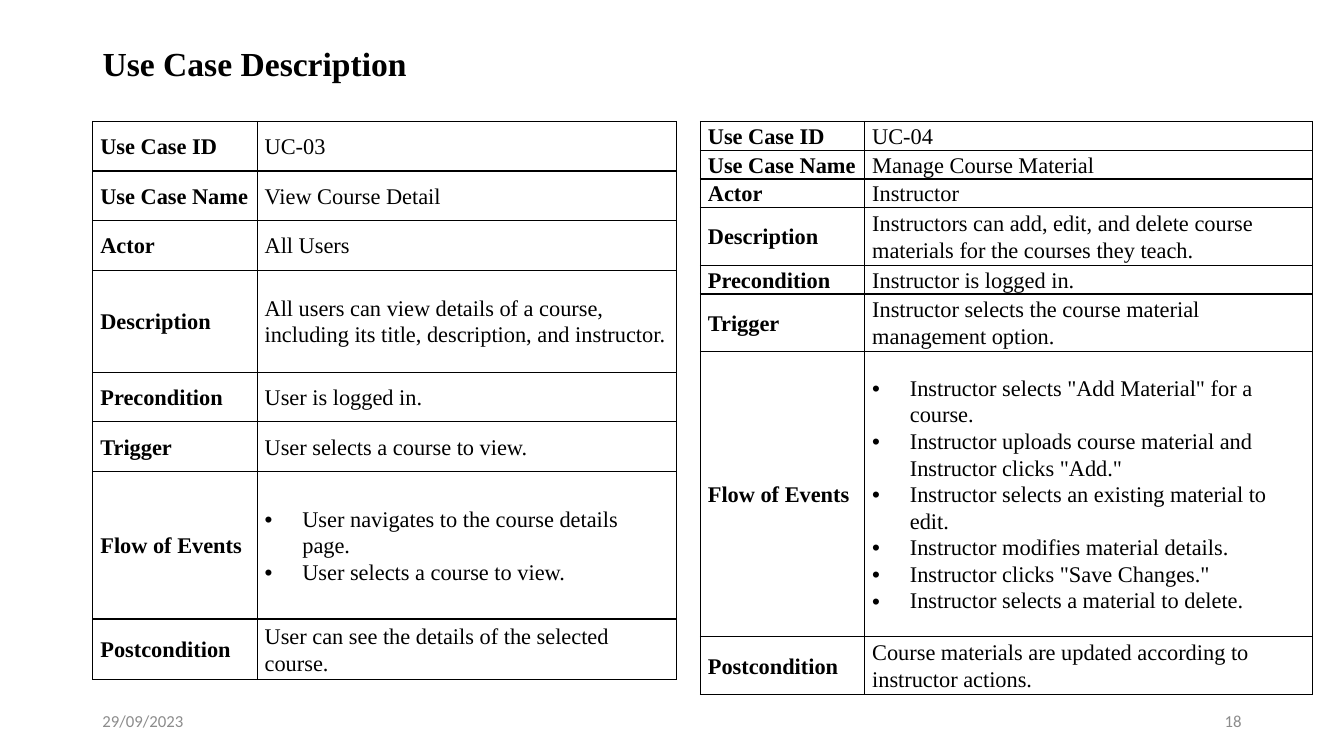
"""Builds a slide with two use case description tables side by side."""
from dataclasses import dataclass

import lxml.etree
import pptx
import pptx.dml.color
import pptx.enum.text
import pptx.oxml.ns
import pptx.util

Cm = pptx.util.Cm
Pt = pptx.util.Pt
Align = pptx.enum.text.PP_ALIGN
Anchor = pptx.enum.text.MSO_ANCHOR


@dataclass(frozen=True)
class Theme:
    heading_font: str = "Times New Roman"
    footer_font: str = "Calibri"
    ink: str = "000000"
    muted: str = "8C8C8C"
    title_size: int = 24
    table_size: int = 16
    footer_size: int = 12
    border_width: int = 1


FIELDS = ["Use Case ID", "Use Case Name", "Actor", "Description",
          "Precondition", "Trigger", "Flow of Events", "Postcondition"]
VIEW_COURSE = [
    "UC-03",
    "View Course Detail",
    "All Users",
    "All users can view details of a course, including its title, description, and instructor.",
    "User is logged in.",
    "User selects a course to view.",
    ["User navigates to the course details page.",
     "User selects a course to view."],
    "User can see the details of the selected course.",
]
MANAGE_MATERIAL = [
    "UC-04",
    "Manage Course Material",
    "Instructor",
    "Instructors can add, edit, and delete course materials for the courses they teach.",
    "Instructor is logged in.",
    "Instructor selects the course material management option.",
    ['Instructor selects "Add Material" for a course.',
     'Instructor uploads course material and Instructor clicks "Add."',
     "Instructor selects an existing material to edit.",
     "Instructor modifies material details.",
     'Instructor clicks "Save Changes."',
     "Instructor selects a material to delete."],
    "Course materials are updated according to instructor actions.",
]
VIEW_HEIGHTS = [1.25, 1.25, 1.25, 2.57, 1.25, 1.25, 3.72, 1.53]
MANAGE_HEIGHTS = [0.58, 0.58, 0.58, 1.19, 0.58, 1.12, 7.19, 1.12]


class SlideBuilder:
    def __init__(self, page, theme):
        self.page = page
        self.theme = theme

    def add_span(self, para, text, font, size, color, bold=False):
        span = para.add_run()
        span.text = text
        span.font.name = font
        span.font.size = Pt(size)
        span.font.bold = bold
        span.font.color.rgb = pptx.dml.color.RGBColor.from_string(color)

    def title(self, text, left, top, width, height):
        box = self.page.shapes.title
        box.left, box.top, box.width, box.height = map(Cm, (left, top, width, height))
        box.text_frame.vertical_anchor = Anchor.MIDDLE
        para = box.text_frame.paragraphs[0]
        para.alignment = Align.LEFT
        para.line_spacing = 0.9
        self.add_span(para, text, self.theme.heading_font, self.theme.title_size,
                      self.theme.ink, bold=True)

    def footer(self, text, left, align):
        box = self.page.shapes.add_textbox(Cm(left), Cm(17.65), Cm(7.62), Cm(1.02))
        box.text_frame.word_wrap = True
        box.text_frame.vertical_anchor = Anchor.MIDDLE
        para = box.text_frame.paragraphs[0]
        para.alignment = align
        self.add_span(para, text, self.theme.footer_font, self.theme.footer_size,
                      self.theme.muted)

    def border(self, cell):
        properties = cell._tc.get_or_add_tcPr()
        qn = pptx.oxml.ns.qn
        for side in ("a:lnL", "a:lnR", "a:lnT", "a:lnB"):
            line = lxml.etree.SubElement(properties, qn(side),
                                         w=str(Pt(self.theme.border_width)))
            fill = lxml.etree.SubElement(line, qn("a:solidFill"))
            lxml.etree.SubElement(fill, qn("a:srgbClr"), val=self.theme.ink)

    def bullet(self, para):
        properties = para._p.get_or_add_pPr()
        properties.set("marL", str(Cm(0.95)))
        properties.set("indent", str(-Cm(0.95)))
        qn = pptx.oxml.ns.qn
        lxml.etree.SubElement(properties, qn("a:buFont"), typeface="Arial")
        lxml.etree.SubElement(properties, qn("a:buChar"), char="•")

    def cell(self, cell, content, bold):
        self.border(cell)
        cell.fill.background()
        cell.vertical_anchor = Anchor.MIDDLE
        cell.margin_left = cell.margin_right = Cm(0.19)
        cell.margin_top = cell.margin_bottom = 0
        bulleted = isinstance(content, list)
        lines = content if bulleted else [content]
        frame = cell.text_frame
        for index, text in enumerate(lines):
            para = frame.add_paragraph() if index else frame.paragraphs[0]
            if bulleted:
                self.bullet(para)
            para.line_spacing = 1.07
            para.space_after = Pt(8 if index == len(lines) - 1 else 0)
            self.add_span(para, text, self.theme.heading_font, self.theme.table_size,
                          self.theme.ink, bold)

    def use_case(self, values, left, widths, heights):
        frame = self.page.shapes.add_table(len(FIELDS), len(widths), Cm(left), Cm(3.06),
                                           Cm(sum(widths)), Cm(sum(heights)))
        table = frame.table
        table.first_row = table.horz_banding = False
        for column, width in zip(table.columns, widths):
            column.width = Cm(width)
        for row, height, field, value in zip(table.rows, heights, FIELDS, values):
            row.height = Cm(height)
            self.cell(row.cells[0], field, bold=True)
            self.cell(row.cells[1], value, bold=False)


def main():
    deck = pptx.Presentation()
    deck.slide_width, deck.slide_height = Cm(33.87), Cm(19.05)
    page = deck.slides.add_slide(deck.slide_layouts[5])
    builder = SlideBuilder(page, Theme())
    builder.title("Use Case Description", 2.33, 0.95, 29.21, 1.4)
    builder.footer("29/09/2023", 2.33, Align.LEFT)
    builder.footer("18", 23.92, Align.RIGHT)
    builder.use_case(VIEW_COURSE, 2.34, [4.14, 10.57], VIEW_HEIGHTS)
    builder.use_case(MANAGE_MATERIAL, 17.65, [4.14, 11.29], MANAGE_HEIGHTS)
    deck.save("out.pptx")


if __name__ == "__main__":
    main()
